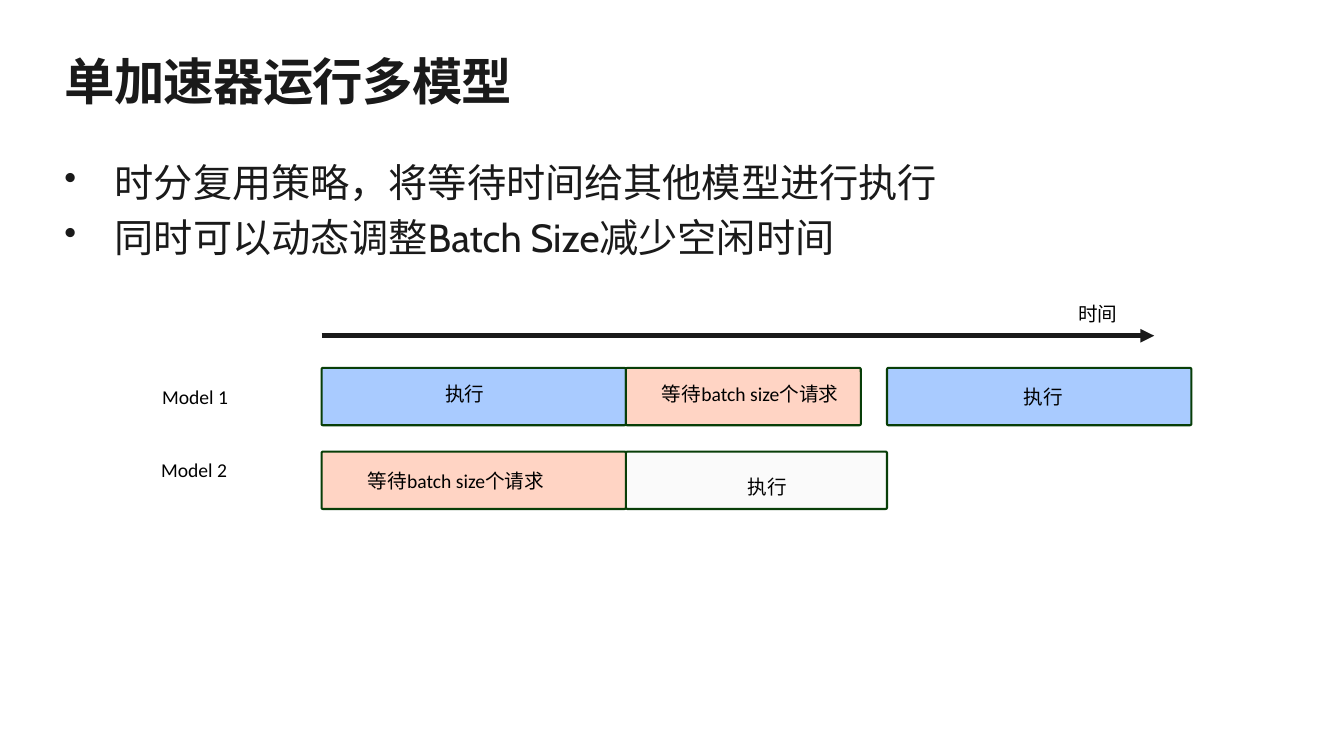
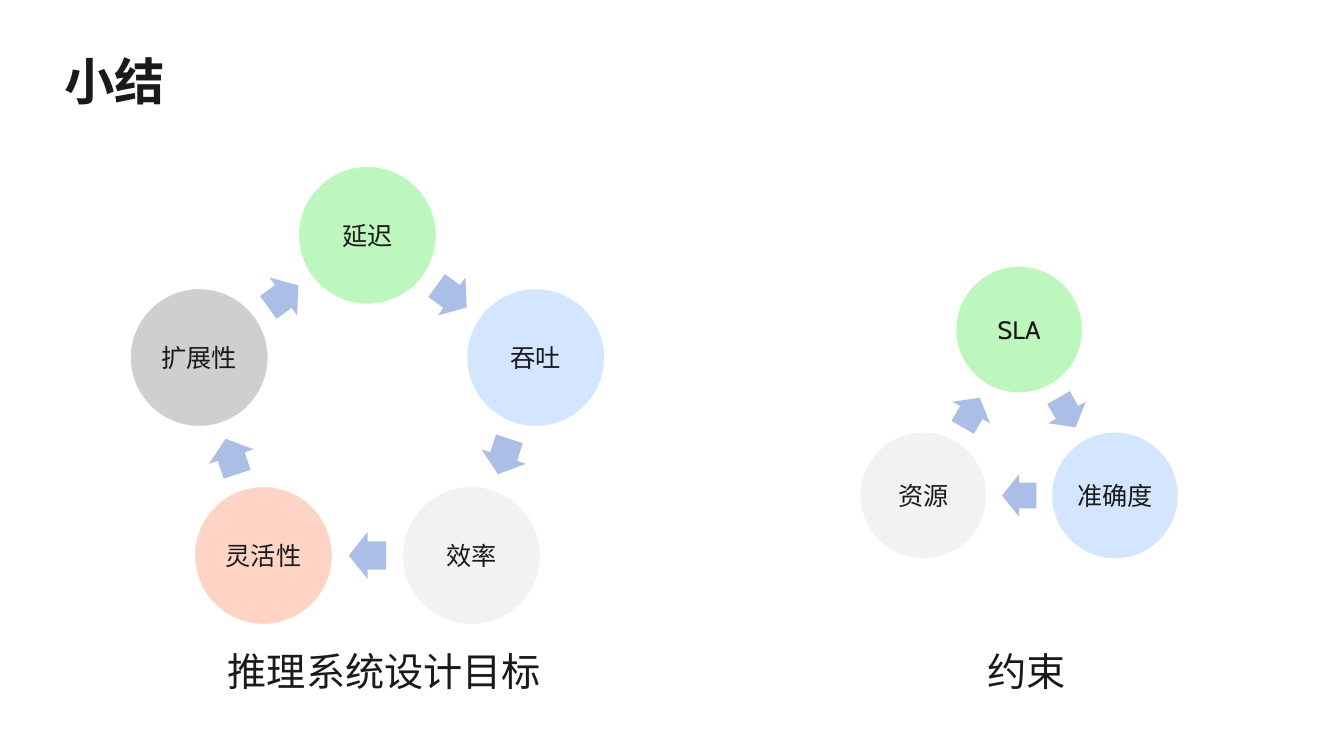
import math

import pptx
import pptx.dml.color
import pptx.enum.shapes
import pptx.enum.text
import pptx.oxml
import pptx.oxml.ns
import pptx.util

Pt = pptx.util.Pt
Shapes = pptx.enum.shapes.MSO_SHAPE
Anchor = pptx.enum.text.MSO_ANCHOR
Align = pptx.enum.text.PP_ALIGN

INK = "1A1A1A"
BLACK = "000000"
WHITE = "FFFFFF"
BAR_LINE = "083E08"
RUN_BLUE = "A9CBFF"
RUN_WHITE = "FAFAFA"
PEACH = "FFD4C4"
GREEN = "BDF7BD"
PALE_BLUE = "D4E5FF"
PALE_GREY = "F2F2F2"
GREY = "CFCFCF"
ARROW_BLUE = "ABBEE6"

LEFT = 46
CONTENT_WIDTH = 867.6


def color(hex_string):
    return pptx.dml.color.RGBColor.from_string(hex_string)


def add_xml(parent, tag, **attributes):
    element = pptx.oxml.parse_xml(f"<a:{tag} {pptx.oxml.ns.nsdecls('a')}/>")
    for name, value in attributes.items():
        element.set(name, value)
    parent.append(element)


class Deck:
    """Holds the shared style and the slide being filled."""

    heading_font = "Cabin"
    label_font = "Calibri"

    def __init__(self):
        self.presentation = pptx.Presentation()
        self.presentation.slide_width = Pt(960)
        self.presentation.slide_height = Pt(540)
        self.slide = None

    def add_slide(self, title):
        layout = self.presentation.slide_layouts[5]
        self.slide = self.presentation.slides.add_slide(layout)
        shape = self.slide.shapes.title
        shape.left, shape.top = Pt(LEFT), Pt(36)
        shape.width, shape.height = Pt(CONTENT_WIDTH), Pt(44)
        self.set_text(shape, [title], 36, bold=True)
        for run in shape.text_frame.paragraphs[0].runs:
            run._r.get_or_add_rPr().set("spc", "-50")

    def set_text(self, shape, lines, size, font=heading_font, ink=INK, bold=False,
                 align=Align.LEFT, anchor=Anchor.TOP, margins=(0, 0), bullets=False):
        """Fill a shape with paragraphs; margins are (horizontal, vertical)."""
        frame = shape.text_frame
        frame.text = "\n".join(lines)
        frame.word_wrap = True
        frame.auto_size = pptx.enum.text.MSO_AUTO_SIZE.NONE
        frame.vertical_anchor = anchor
        frame.margin_left = frame.margin_right = Pt(margins[0])
        frame.margin_top = frame.margin_bottom = Pt(margins[1])
        for index, paragraph in enumerate(frame.paragraphs):
            paragraph.alignment = align
            if index:
                paragraph.space_before = Pt(size * 0.2)
            if bullets:
                self.add_bullet(paragraph)
            for run in paragraph.runs:
                run.font.name = font
                run.font.size = Pt(size)
                run.font.bold = bold
                run.font.color.rgb = color(ink)

    def add_bullet(self, paragraph):
        properties = paragraph._p.get_or_add_pPr()
        properties.set("marL", str(Pt(36)))
        properties.set("indent", str(-Pt(36)))
        add_xml(properties, "buSzPct", val="90000")
        add_xml(properties, "buChar", char="•")

    def add_text(self, lines, left, top, width, height, size=28, **style):
        box = self.slide.shapes.add_textbox(Pt(left), Pt(top), Pt(width), Pt(height))
        self.set_text(box, lines, size, **style)

    def add_label(self, text, left, top, width=56):
        self.add_text([text], left, top, width, 24.5, size=14, font=self.label_font,
                      ink=BLACK, margins=(7.2, 3.6))

    def add_shape(self, kind, left, top, width, height, fill, line=None, line_width=1.5):
        shape = self.slide.shapes.add_shape(kind, Pt(left), Pt(top), Pt(width), Pt(height))
        shape.shadow.inherit = False
        shape.fill.solid()
        shape.fill.fore_color.rgb = color(fill)
        if line:
            shape.line.color.rgb = color(line)
            shape.line.width = Pt(line_width)
        else:
            shape.line.fill.background()
        return shape

    def add_bar(self, left, right, top, fill):
        bar = self.add_shape(Shapes.ROUNDED_RECTANGLE, left, top, right - left, 41,
                             fill, BAR_LINE)
        bar.adjustments[0] = 0.025

    def add_time_axis(self, left, right, y):
        axis = self.slide.shapes.add_connector(
            pptx.enum.shapes.MSO_CONNECTOR.STRAIGHT, Pt(left), Pt(y), Pt(right), Pt(y))
        axis.line.color.rgb = color(INK)
        axis.line.width = Pt(3.25)
        properties = axis._element.spPr
        add_xml(properties.find(pptx.oxml.ns.qn("a:ln")), "tailEnd", type="triangle")
        add_xml(properties, "effectLst")

    def add_cycle(self, center_x, center_y, radius, diameter, nodes):
        """Place circles clockwise from the top, with an arrow between neighbours."""
        step = 360 / len(nodes)
        arrow_radius = radius * math.cos(math.radians(step / 2))
        arrow_width, arrow_height = diameter * 0.27, diameter * 0.34

        def corner(angle, distance, width, height):
            x = center_x + distance * math.sin(math.radians(angle))
            y = center_y - distance * math.cos(math.radians(angle))
            return x - width / 2, y - height / 2

        for index, (text, fill) in enumerate(nodes):
            angle = index * step
            circle = self.add_shape(
                Shapes.OVAL, *corner(angle, radius, diameter, diameter),
                diameter, diameter, fill, WHITE, 0.85)
            self.set_text(circle, [text], 18, align=Align.CENTER,
                          anchor=Anchor.MIDDLE, margins=(2, 2))
            angle += step / 2
            arrow = self.add_shape(
                Shapes.RIGHT_ARROW, *corner(angle, arrow_radius, arrow_width, arrow_height),
                arrow_width, arrow_height, ARROW_BLUE)
            arrow.adjustments[0] = 0.6
            arrow.adjustments[1] = 0.5
            arrow.rotation = angle


def add_scheduling_slide(deck):
    deck.add_slide("单加速器运行多模型")
    deck.add_text(["时分复用策略，将等待时间给其他模型进行执行",
                   "同时可以动态调整Batch Size减少空闲时间"],
                  LEFT, 113, CONTENT_WIDTH, 75, bullets=True)
    deck.add_time_axis(229.7, 824.4, 239.8)
    deck.add_label("时间", 763.2, 212.4)

    start, first_end, second_start, second_end = 229.7, 447.1, 633.6, 851
    model_1_top, model_2_top = 262.8, 322.6
    for left, right, top, fill in (
            (start, first_end, model_1_top, RUN_BLUE),
            (first_end, 614.9, model_1_top, PEACH),
            (second_start, second_end, model_1_top, RUN_BLUE),
            (first_end, second_start, model_2_top, RUN_WHITE),
            (start, first_end, model_2_top, PEACH)):
        deck.add_bar(left, right, top, fill)

    deck.add_label("Model 1", 108.7, 271.4, 81)
    deck.add_label("Model 2", 108, 323.3, 81)
    for left, top in ((311, 269.3), (724.3, 271.4), (527, 335.5)):
        deck.add_label("执行", left, top)
    for left, top in ((465.8, 269.3), (255.6, 331.2)):
        deck.add_label("等待batch size个请求", left, top, 183)


def add_summary_slide(deck):
    deck.add_slide("小结")
    deck.add_cycle(262.5, 294.5, 126.4, 98.6, [
        ("延迟", GREEN), ("吞吐", PALE_BLUE), ("效率", PALE_GREY),
        ("灵活性", PEACH), ("扩展性", GREY)])
    deck.add_cycle(728, 314.4, 79, 90.7, [
        ("SLA", GREEN), ("准确度", PALE_BLUE), ("资源", PALE_GREY)])
    deck.add_text(["推理系统设计目标"], 162.7, 462.2, 230, 34)
    deck.add_text(["约束"], 705.6, 462.2, 75, 34)


def main():
    deck = Deck()
    add_scheduling_slide(deck)
    add_summary_slide(deck)
    deck.presentation.save("out.pptx")


if __name__ == "__main__":
    main()
